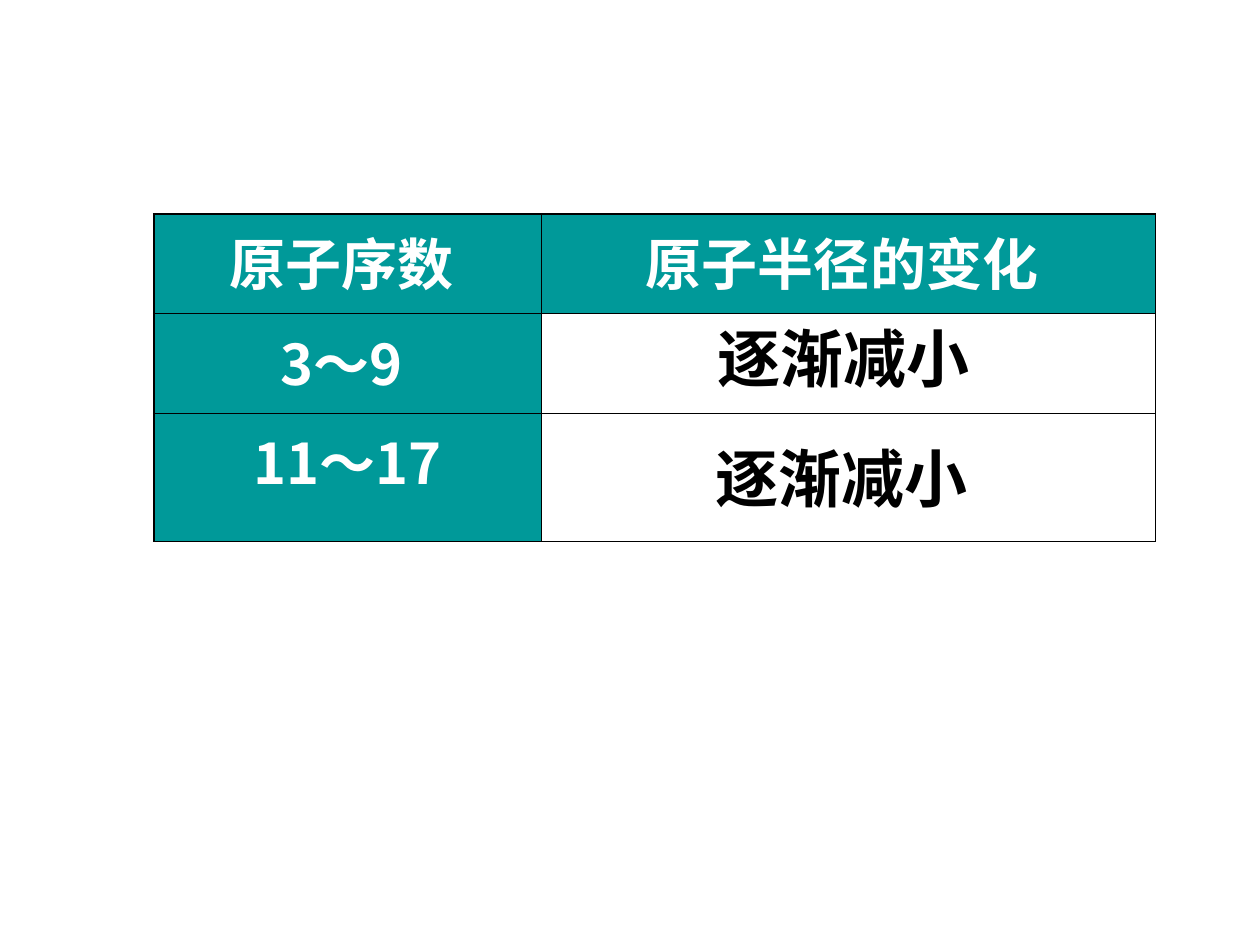
from lxml.etree import SubElement
from pptx import Presentation
from pptx.dml.color import RGBColor
from pptx.enum.text import MSO_AUTO_SIZE, PP_ALIGN
from pptx.oxml.ns import qn
from pptx.util import Inches, Pt

FONT = "Noto Sans CJK SC"
TEAL = RGBColor(0x00, 0x99, 0x99)
WHITE = RGBColor(0xFF, 0xFF, 0xFF)
BLACK = RGBColor(0x00, 0x00, 0x00)
THIN, THICK = Pt(0.45), Pt(1.08)


def format_run(run, size, color):
    run.font.size = Pt(size)
    run.font.bold = True
    run.font.color.rgb = color
    run.font.name = FONT
    SubElement(run.font._element, qn("a:ea"), typeface=FONT)


def add_border(cell, side, width):
    """Draw one black cell border; side is L, R, T or B, added in that order."""
    properties = cell._tc.get_or_add_tcPr()
    line = SubElement(properties, qn(f"a:ln{side}"), w=str(width))
    fill = SubElement(line, qn("a:solidFill"))
    SubElement(fill, qn("a:srgbClr"), val=str(BLACK))


presentation = Presentation()
presentation.slide_width = Inches(10)
presentation.slide_height = Inches(7.5)
slide = presentation.slides.add_slide(presentation.slide_layouts[6])

# Answers for the right-hand column
for left, top, width, wraps in [(5.6, 2.49, 2.2, False), (5.58, 3.44, 2.72, True)]:
    answer = slide.shapes.add_textbox(Inches(left), Inches(top), Inches(width), Inches(0.7))
    text_frame = answer.text_frame
    text_frame.word_wrap = wraps
    text_frame.auto_size = MSO_AUTO_SIZE.SHAPE_TO_FIT_TEXT
    text_frame.text = "逐渐减小"
    format_run(text_frame.paragraphs[0].runs[0], 36, BLACK)

# Atomic number and radius table
rows = [("原子序数 ", "原子半径的变化 "), ("3～9 ", ""), ("11～17", "")]
column_widths = [3.08, 4.87]
row_heights = [0.79, 0.79, 1.02]
table = slide.shapes.add_table(
    len(rows), len(column_widths), Inches(1.22), Inches(1.7),
    Inches(sum(column_widths)), Inches(sum(row_heights)),
).table
table.first_row = False
table.horz_banding = False
for column, width in zip(table.columns, column_widths):
    column.width = Inches(width)
for row, height in zip(table.rows, row_heights):
    row.height = Inches(height)

for row_index, texts in enumerate(rows):
    for column_index, text in enumerate(texts):
        cell = table.cell(row_index, column_index)
        add_border(cell, "L", THICK if column_index == 0 else THIN)
        add_border(cell, "R", THICK if column_index == 1 else THIN)
        add_border(cell, "T", THICK if row_index == 0 else THIN)
        add_border(cell, "B", THIN)
        if not text:
            cell.fill.background()
            continue
        cell.fill.solid()
        cell.fill.fore_color.rgb = TEAL
        paragraph = cell.text_frame.paragraphs[0]
        paragraph.text = text
        paragraph.alignment = PP_ALIGN.CENTER
        paragraph.space_before = Pt(8)
        format_run(paragraph.runs[0], 32, WHITE)

presentation.save("out.pptx")
